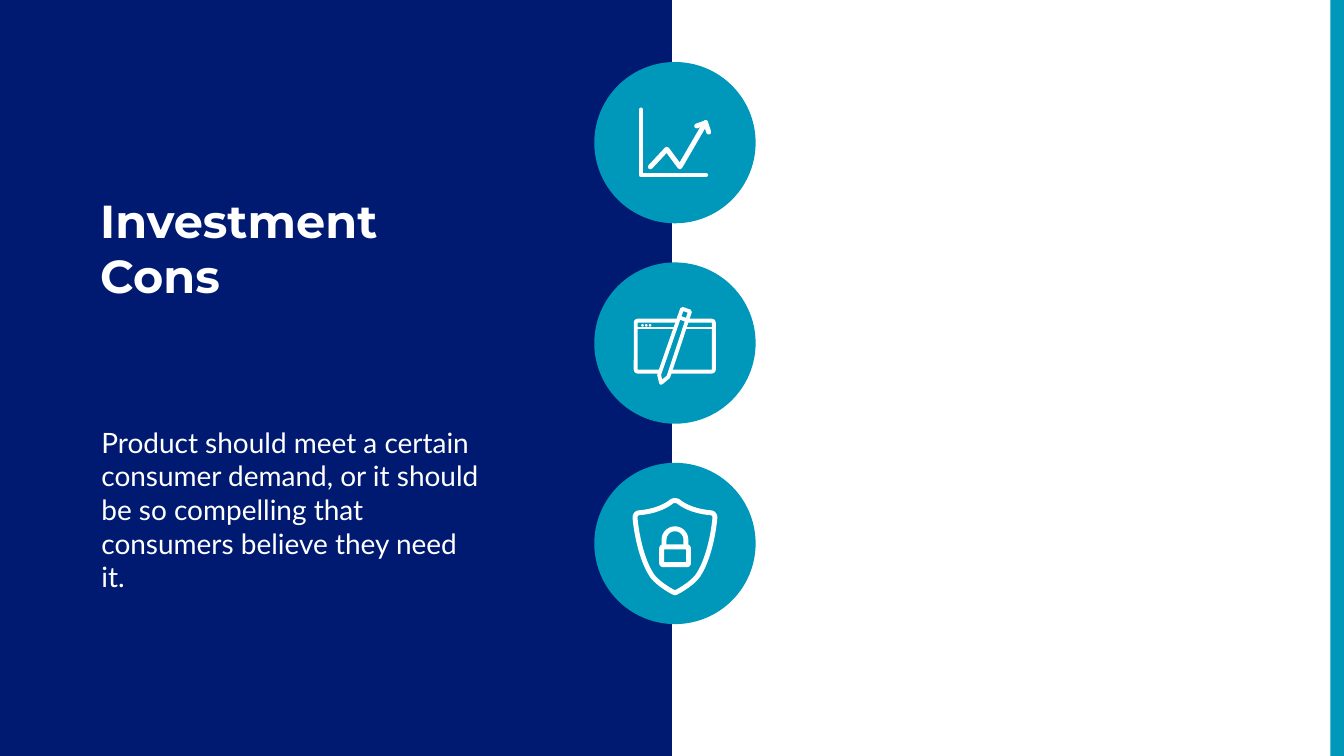
from dataclasses import dataclass
from math import cos, pi, sin

from lxml.etree import SubElement as Sub
from pptx import Presentation
from pptx.dml.color import RGBColor as Rgb
from pptx.enum.shapes import MSO_SHAPE as Kind
from pptx.enum.text import MSO_ANCHOR as Anchor, MSO_AUTO_SIZE as Fit, PP_ALIGN as Align
from pptx.oxml.ns import qn
from pptx.util import Cm, Pt


@dataclass(frozen=True)
class Theme:
    navy: Rgb = Rgb.from_string("001A71")
    teal: Rgb = Rgb.from_string("0098BA")
    white: Rgb = Rgb.from_string("FFFFFF")
    head: str = "Montserrat"
    body: str = "Lato"
    large: float = 66
    text: float = 40
    bold: float = 7
    mid: float = 5.4
    thin: float = 3


class Deck:
    def __init__(self, theme, wide, high):
        self.theme = theme
        self.show = Presentation()
        self.show.slide_width, self.show.slide_height = Cm(wide), Cm(high)
        self.slide = self.show.slides.add_slide(self.show.slide_layouts[1])
        self.mid = (0, 0)

    def spot(self, x, y):
        return Cm(self.mid[0] + x), Cm(self.mid[1] + y)

    def paint(self, shape, fill, width):
        shape.shadow.inherit = False
        if fill is None:
            shape.fill.background()
        else:
            shape.fill.solid()
            shape.fill.fore_color.rgb = fill
        if not width:
            shape.line.fill.background()
            return
        shape.line.color.rgb = self.theme.white
        shape.line.width = Pt(width)
        edge = shape.line._get_or_add_ln()
        edge.set("cap", "rnd")
        Sub(edge, qn("a:round"))

    def form(self, kind, x, y, w, h, fill=None, width=0, curve=None):
        shape = self.slide.shapes.add_shape(kind, *self.spot(x, y), Cm(w), Cm(h))
        if curve is not None:
            shape.adjustments[0] = curve
        self.paint(shape, fill, width)

    def trace(self, dots, width, fill=None, close=False):
        first, *rest = [self.spot(x, y) for x, y in dots]
        pen = self.slide.shapes.build_freeform(*first, scale=1.0)
        pen.add_line_segments(rest, close=close)
        self.paint(pen.convert_to_shape(), fill, width)

    def words(self, slot, text, box, font, size, bold, pad, gap):
        holder = self.slide.placeholders[slot]
        holder.left, holder.top, holder.width, holder.height = map(Cm, box)
        holder._element.getparent().append(holder._element)
        frame = holder.text_frame
        frame.word_wrap, frame.auto_size = True, Fit.NONE
        frame.vertical_anchor = Anchor.TOP
        frame.margin_left = frame.margin_right = Cm(pad)
        frame.margin_top = frame.margin_bottom = Cm(pad / 2)
        para = frame.paragraphs[0]
        para.alignment = Align.LEFT
        para.space_before = Pt(gap)
        props = para._p.get_or_add_pPr()
        props.set("marL", "0")
        props.set("indent", "0")
        Sub(props, qn("a:buNone"))
        run = para.add_run()
        run.text = text
        run.font.name, run.font.size, run.font.bold = font, Pt(size), bold
        run.font.color.rgb = self.theme.white


def bend(start, curves, steps=12):
    dots = [start]
    for one, two, end in curves:
        knots = (dots[-1], one, two, end)
        for n in range(1, steps + 1):
            t = n / steps
            part = ((1 - t) ** 3, 3 * t * (1 - t) ** 2, 3 * t * t * (1 - t), t ** 3)
            dots.append(tuple(sum(p * k[i] for p, k in zip(part, knots)) for i in (0, 1)))
    return dots


def chart(deck):
    for dots in (
        [(-1.71, -1.65), (-1.71, 1.63), (1.55, 1.63)],
        [(-1.24, 1.22), (-0.41, 0.33), (0.25, 1.22), (1.55, -1.02)],
        [(1.09, -0.84), (1.55, -1), (1.7, -0.53)],
    ):
        deck.trace(dots, deck.theme.bold)


def design(deck):
    look = deck.theme
    deck.form(Kind.ROUNDED_RECTANGLE, -1.98, -1.13, 3.94, 2.57, width=look.mid, curve=0.04)
    deck.trace([(-1.98, -0.74), (1.96, -0.74)], look.thin)
    for n in range(3):
        deck.form(Kind.OVAL, -1.7 + 0.19 * n, -0.96, 0.13, 0.13, look.white)
    pencil = [(0.36, -1.73), (0.76, -1.59), (-0.33, 1.7), (-0.7, 2.01), (-0.8, 1.6)]
    deck.trace(pencil, look.mid, look.teal, True)
    deck.trace([(0.2, -1.3), (0.63, -1.14)], look.mid)


def shield(deck):
    look = deck.theme
    half = bend((0, -2.16), [
        ((0.1, -2.16), (0.15, -2.13), (0.18, -2.11)),
        ((0.43, -1.9), (0.97, -1.62), (1.78, -1.55)),
        ((1.93, -1.55), (2.03, -1.42), (2.01, -1.27)),
        ((1.96, -0.71), (1.75, 0.71), (1.17, 1.6)),
        ((0.84, 2.06), (0.13, 2.44), (0, 2.49)),
    ])
    deck.trace(half + [(-x, y) for x, y in half[-2:0:-1]], look.bold, close=True)
    deck.form(Kind.ROUNDED_RECTANGLE, -0.67, 0.17, 1.35, 0.9, width=look.bold, curve=0.08)
    arc = [(-0.55 * cos(pi * n / 16), -0.19 - 0.55 * sin(pi * n / 16)) for n in range(17)]
    deck.trace([(-0.55, 0.17), *arc, (0.55, 0.17)], look.bold)


WIDE, HIGH, SIZE, STEP = 67.72, 38.1, 8.13, 10.1
look = Theme()
deck = Deck(look, WIDE, HIGH)
deck.form(Kind.RECTANGLE, 0, 0, WIDE / 2, HIGH, look.navy)
deck.words(0, "Investment Cons", (4.8, 9.55, 17.63, 5.89),
           look.head, look.large, True, 0.25, 0)
deck.words(1, "Product should meet a certain consumer demand, or it should be so "
           "compelling that consumers believe they need it.", (4.5, 21.13, 20.65, 7.44),
           look.body, look.text, False, 0.61, 8)
for n, icon in enumerate((chart, design, shield)):
    deck.mid = (34.01, 7.19 + STEP * n)
    deck.form(Kind.OVAL, -SIZE / 2, -SIZE / 2, SIZE, SIZE, look.teal)
    icon(deck)
deck.mid = (0, 0)
deck.form(Kind.RECTANGLE, 67.03, 0, 0.69, HIGH, look.teal)
deck.show.save("out.pptx")
